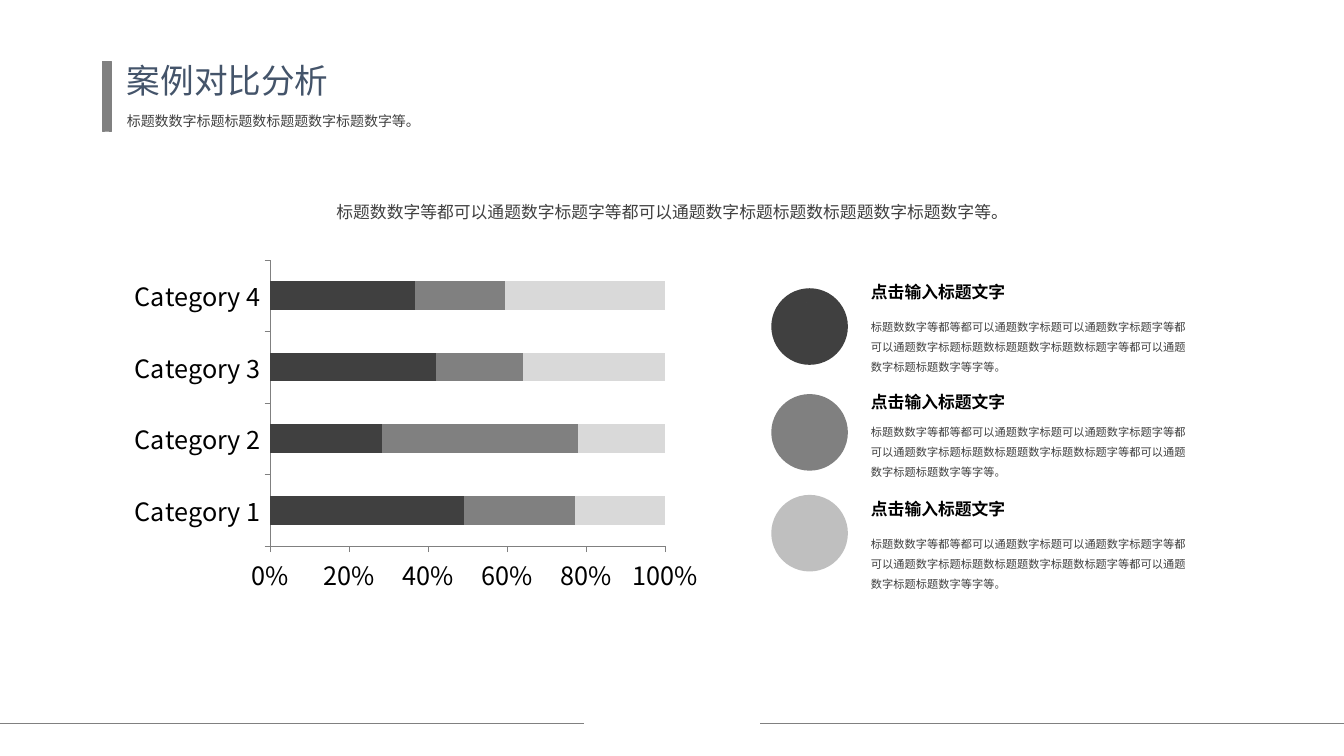
import math
from dataclasses import dataclass

import pptx
import pptx.chart.data
import pptx.dml.color
import pptx.enum.chart
import pptx.enum.shapes
import pptx.enum.text
import pptx.oxml
import pptx.util

Inches = pptx.util.Inches
Point = tuple[float, float]
FONT = "Noto Sans CJK SC"
COLORS = {"dark": "404040", "middle": "808080", "light": "BFBFBF", "pale": "D9D9D9",
          "title": "44546A", "black": "000000", "white": "FFFFFF"}
HEADING = "点击输入标题文字"
BODY = ("标题数数字等都等都可以通题数字标题可以通题数字标题字等都可以通题数字标题标题数"
        "标题题数字标题数标题字等都可以通题数字标题标题数字等字等。")


@dataclass(frozen=True)
class TextBox:
    text: str
    left: float
    top: float
    width: float
    height: float
    size: float
    color: str = "dark"
    bold: bool = False
    spacing: float = 1.0
    align: str = "LEFT"
    anchor: str = "TOP"


@dataclass(frozen=True)
class Item:
    color: str
    disc_top: float
    heading_top: float
    body_top: float
    icon: list[list[Point]]


def arc(x: float, y: float, radius: float, start: int = 0, end: int = 360) -> list[Point]:
    """Return points along a circular arc, angles in degrees."""
    return [(x + radius * math.cos(math.radians(angle)), y + radius * math.sin(math.radians(angle)))
            for angle in range(start, end + 1, 10)]


GLOBE = [
    arc(8.04, 3.21, 0.225),
    [(8.12, 3.15), (8.13, 3.14), (8.17, 3.14), (8.17, 3.12), (8.15, 3.11), (8.14, 3.09),
     (8.12, 3.1), (8.11, 3.08), (8.09, 3.08), (8.09, 3.13), (8.07, 3.12), (8.03, 3.1),
     (8.04, 3.07), (8.07, 3.07), (8.07, 3.05), (8.05, 3.06), (8.03, 3.04), (8.02, 3.07),
     (7.99, 3.06), (7.99, 3.04), (7.96, 3.06), (7.93, 3.08), (7.9, 3.12), (7.92, 3.14),
     (7.91, 3.18), (7.93, 3.21), (7.95, 3.24), (7.97, 3.26), (7.99, 3.28), (8.02, 3.29),
     (8.05, 3.31), (8.08, 3.34), (8.07, 3.29), (8.05, 3.29), (8.05, 3.27), (8.03, 3.29),
     (8.02, 3.26), (8.02, 3.24), (8.07, 3.23), (8.08, 3.25), (8.08, 3.22), (8.1, 3.19),
     (8.12, 3.17), (8.14, 3.15)],
    [(8.18, 3.34), (8.14, 3.32), (8.12, 3.31), (8.1, 3.32), (8.09, 3.35), (8.08, 3.4),
     (8.14, 3.38)],
]
GAUGE = [
    [(7.84, 4.44), *arc(8.03, 4.32, 0.235, 150, 390), (8.22, 4.45), (7.85, 4.45)],
    *(arc(x, y, 0.034) for x, y in
      [(7.87, 4.32), (7.92, 4.2), (8.03, 4.15), (8.15, 4.2), (8.2, 4.32)]),
    [(8.09, 4.23), (8.08, 4.2), (8.06, 4.21), (8.03, 4.32), *reversed(arc(8.03, 4.37, 0.05, -50, 260)),
     (8.06, 4.32)],
]
THUMB = [
    [(7.87, 5.24), (7.94, 5.24), (7.95, 5.26), (7.95, 5.4), (7.94, 5.42), (7.87, 5.42),
     (7.86, 5.4), (7.86, 5.26)],
    arc(7.9, 5.38, 0.014),
    [(8.19, 5.21), (8.22, 5.22), (8.24, 5.26), (8.22, 5.29), (8.22, 5.37), (8.2, 5.43),
     (8.18, 5.45), (8.11, 5.45), (8.02, 5.43), (7.98, 5.42), (7.97, 5.4), (7.97, 5.26),
     (7.99, 5.24), (8.03, 5.2), (8.07, 5.14), (8.08, 5.09), (8.11, 5.09), (8.14, 5.11),
     (8.15, 5.15), (8.12, 5.21)],
]
ITEMS = [
    Item("dark", 2.86, 2.75, 3.06, GLOBE),
    Item("middle", 3.91, 3.84, 4.1, GAUGE),
    Item("light", 4.91, 4.9, 5.21, THUMB),
]
TEXTS = [
    TextBox("案例对比分析", 1.16, 0.62, 3.34, 0.43, 24, "title", spacing=0.8, anchor="MIDDLE"),
    TextBox("标题数数字标题标题数标题题数字标题数字等。", 1.16, 1.06, 3.76, 0.27, 10, anchor="MIDDLE"),
    TextBox("标题数数字等都可以通题数字标题字等都可以通题数字标题标题数标题题数字标题数字等。",
            0.94, 1.85, 11.46, 0.37, 12, spacing=1.5, align="CENTER"),
]
SERIES = [("Series 1", (49, 28, 42, 37), "dark"),
          ("Series 2", (28, 49, 22, 23), "middle"),
          ("Series 3", (23, 22, 36, 41), "pale")]


def rgb(name: str) -> pptx.dml.color.RGBColor:
    """Return the named colour."""
    return pptx.dml.color.RGBColor.from_string(COLORS[name])


def apply(target, values: dict) -> None:
    """Set each attribute of the target from a dict."""
    for name, value in values.items():
        setattr(target, name, value)


def style_font(font, size: float, color: str, bold: bool = False) -> None:
    """Format a font."""
    apply(font, {"name": FONT, "size": pptx.util.Pt(size), "bold": bold})
    font.color.rgb = rgb(color)


def paint(shape, color: str) -> None:
    """Fill a shape flat, without outline or shadow."""
    shape.shadow.inherit = False
    shape.fill.solid()
    shape.fill.fore_color.rgb = rgb(color)
    shape.line.fill.background()


def style_line(line) -> None:
    """Format a thin grey line."""
    line.color.rgb = rgb("middle")
    line.width = pptx.util.Pt(0.5)


def add_text(page, spec_box: TextBox) -> None:
    """Draw a text box."""
    box = page.shapes.add_textbox(*map(Inches, (spec_box.left, spec_box.top,
                                                spec_box.width, spec_box.height)))
    apply(box.text_frame, {"word_wrap": True,
                           "vertical_anchor": pptx.enum.text.MSO_ANCHOR[spec_box.anchor]})
    para = box.text_frame.paragraphs[0]
    apply(para, {"alignment": pptx.enum.text.PP_ALIGN[spec_box.align],
                 "line_spacing": spec_box.spacing})
    span = para.add_run()
    span.text = spec_box.text
    style_font(span.font, spec_box.size, spec_box.color, spec_box.bold)


def add_icon(page, contours: list[list[Point]]) -> None:
    """Draw a white icon whose inner contours are holes."""
    builder = page.shapes.build_freeform(*contours[0][0], scale=Inches(1))
    for contour in contours:
        builder.move_to(*contour[0])
        builder.add_line_segments(contour[1:], close=True)
    paint(builder.convert_to_shape(), "white")


def add_item(page, item: Item) -> None:
    """Draw a disc with its icon, heading and body."""
    disc = page.shapes.add_shape(pptx.enum.shapes.MSO_SHAPE.OVAL, Inches(7.65),
                                 Inches(item.disc_top), Inches(0.76), Inches(0.76))
    paint(disc, item.color)
    add_icon(page, item.icon)
    add_text(page, TextBox(HEADING, 8.54, item.heading_top, 3.47, 0.3, 12, "black", bold=True))
    add_text(page, TextBox(BODY, 8.54, item.body_top, 3.42, 0.68, 8, spacing=1.5))


def add_bars(page) -> None:
    """Draw the stacked bar chart."""
    data = pptx.chart.data.CategoryChartData()
    data.categories = [f"Category {number}" for number in range(1, 5)]
    for name, values, _ in SERIES:
        data.add_series(name, values)
    chart = page.shapes.add_chart(pptx.enum.chart.XL_CHART_TYPE.BAR_STACKED_100,
                                  *map(Inches, (1.22, 2.51, 5.82, 3.44)), data).chart
    apply(chart, {"has_legend": False, "has_title": False})
    style_font(chart.font, 18, "black")
    plot = chart.plots[0]
    apply(plot, {"gap_width": 150, "overlap": 100, "vary_by_categories": False})
    for series, (_, _, color) in zip(plot.series, SERIES):
        series.format.fill.solid()
        series.format.fill.fore_color.rgb = rgb(color)
    for axis in (chart.category_axis, chart.value_axis):
        apply(axis, {"has_major_gridlines": False,
                     "major_tick_mark": pptx.enum.chart.XL_TICK_MARK.OUTSIDE})
        style_font(axis.tick_labels.font, 18, "black")
        style_line(axis.format.line)
    apply(chart.value_axis.tick_labels, {"number_format": "0%", "number_format_is_linked": False})


def main() -> None:
    """Build and save the slide."""
    deck = pptx.Presentation()
    apply(deck, {"slide_width": Inches(13.33), "slide_height": Inches(7.5)})
    page = deck.slides.add_slide(deck.slide_layouts[6])
    for start, end in ((0, 5.79), (7.54, 13.33)):
        rule = page.shapes.add_connector(pptx.enum.shapes.MSO_CONNECTOR.STRAIGHT,
                                         *map(Inches, (start, 7.18, end, 7.18)))
        style_line(rule.line)
        rule._element.spPr.append(pptx.oxml.parse_xml(
            '<a:effectLst xmlns:a="http://schemas.openxmlformats.org/drawingml/2006/main"/>'))
    bar = page.shapes.add_shape(pptx.enum.shapes.MSO_SHAPE.RECTANGLE,
                                *map(Inches, (1.02, 0.61, 0.08, 0.69)))
    paint(bar, "middle")
    style_line(bar.line)
    for text in TEXTS:
        add_text(page, text)
    add_bars(page)
    for item in ITEMS:
        add_item(page, item)
    deck.save("out.pptx")


if __name__ == "__main__":
    main()
